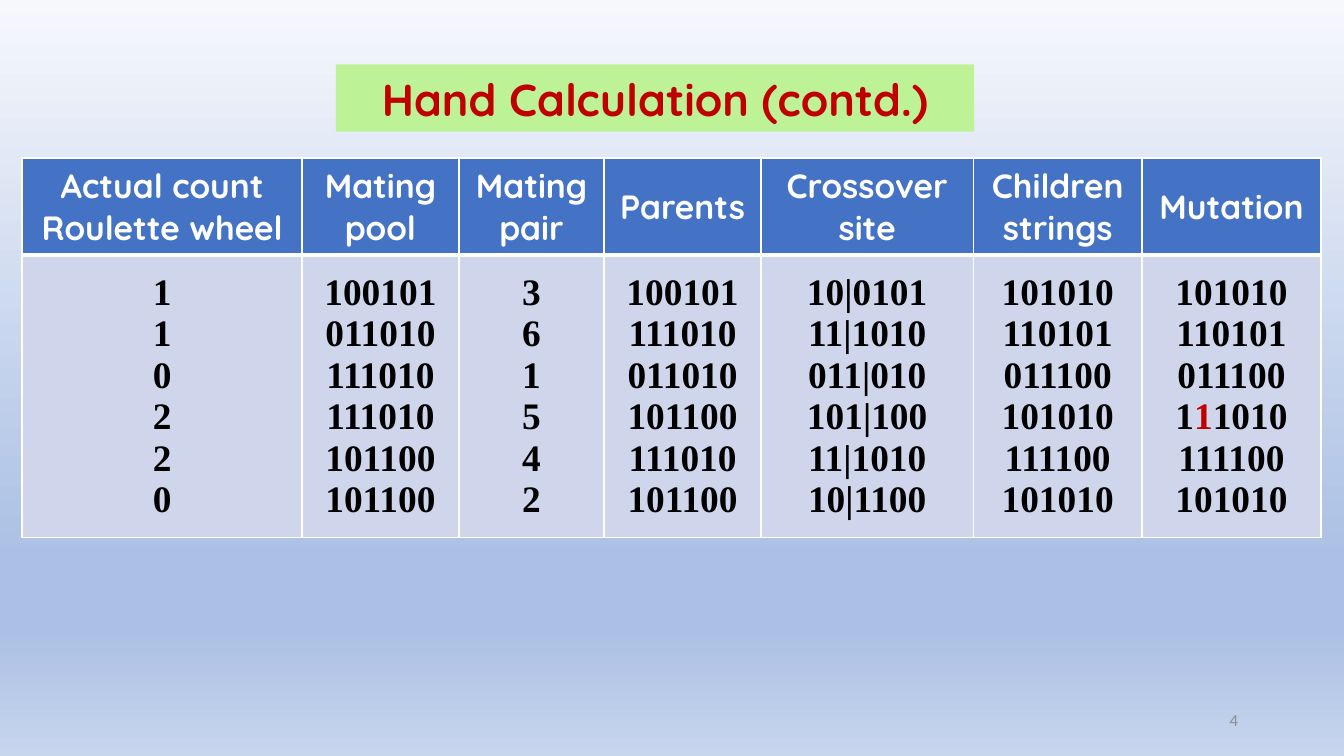
"""Build the slide with the hand calculation table of a genetic algorithm."""
from dataclasses import dataclass

from lxml.etree import SubElement
from pptx import Presentation
from pptx.dml.color import RGBColor
from pptx.enum.shapes import MSO_SHAPE
from pptx.enum.text import MSO_ANCHOR, PP_ALIGN
from pptx.oxml import parse_xml
from pptx.oxml.ns import nsdecls, qn
from pptx.util import Cm, Pt


@dataclass(frozen=True)
class Theme:
    red: str = "C00000"
    green: str = "BEF297"
    blue: str = "4472C4"
    pale: str = "CFD5EA"
    white: str = "FFFFFF"
    black: str = "000000"
    gray: str = "8C8C8C"
    sky: tuple = ((0, "F6F8FC"), (74, "ABC0E4"), (83, "ABC0E4"), (100, "C7D5ED"))
    title: int = 24
    head: int = 18
    body: int = 20
    foot: int = 9
    sans: str = "Quicksand"
    serif: str = "Times New Roman"
    plain: str = "Calibri"


theme = Theme()


def write(frame, text, size, font, color, bold=True, align=PP_ALIGN.CENTER):
    """Write one paragraph per line, with text between asterisks in red."""
    frame.word_wrap = True
    for row, line in enumerate(text.split("\n")):
        para = frame.add_paragraph() if row else frame.paragraphs[0]
        para.alignment = align
        for part, piece in enumerate(line.split("*")):
            run = para.add_run()
            run.text = piece
            run.font.size = Pt(size)
            run.font.name = font
            run.font.bold = bold
            run.font.color.rgb = RGBColor.from_string(theme.red if part % 2 else color)


def paint(cell, color, edges):
    """Fill a cell and draw its white borders, given widths by side."""
    cell.fill.solid()
    cell.fill.fore_color.rgb = RGBColor.from_string(color)
    props = cell._tc.get_or_add_tcPr()
    for spot, side in enumerate("LRTB"):
        props.insert(spot, parse_xml(
            f'<a:ln{side} {nsdecls("a")} w="{Pt(edges[side])}"><a:solidFill>'
            f'<a:srgbClr val="{theme.white}"/></a:solidFill></a:ln{side}>'))


deck = Presentation()
deck.slide_width, deck.slide_height = Cm(25.4), Cm(14.29)
slide = deck.slides.add_slide(deck.slide_layouts[6])

back = slide.background.fill
back.gradient()
back.gradient_angle = 270
stops = slide.element.find(f".//{qn('a:gsLst')}")
for stop in list(stops):
    stops.remove(stop)
for place, color in theme.sky:
    stop = SubElement(stops, qn("a:gs"), pos=str(place * 1000))
    SubElement(stop, qn("a:srgbClr"), val=color)

page = slide.shapes.add_textbox(Cm(17.93), Cm(13.23), Cm(5.72), Cm(0.76)).text_frame
page.vertical_anchor = MSO_ANCHOR.MIDDLE
write(page, "4", theme.foot, theme.plain, theme.gray, bold=False, align=PP_ALIGN.RIGHT)

cols = [
    (5.29, "Actual count Roulette wheel", "1 1 0 2 2 0"),
    (2.96, "Mating pool", "100101 011010 111010 111010 101100 101100"),
    (2.75, "Mating pair", "3 6 1 5 4 2"),
    (2.96, "Parents", "100101 111010 011010 101100 111010 101100"),
    (4.02, "Crossover site", "10|0101 11|1010 011|010 101|100 11|1010 10|1100"),
    (3.18, "Children strings", "101010 110101 011100 101010 111100 101010"),
    (3.39, "Mutation", "101010 110101 011100 1*1*1010 111100 101010"),
]
total = sum(col[0] for col in cols)
table = slide.shapes.add_table(2, len(cols), Cm(0.42), Cm(2.99), Cm(total), Cm(6.78)).table
table.rows[0].height, table.rows[1].height = Cm(1.83), Cm(4.95)
for spot, (width, head, codes) in enumerate(cols):
    table.columns[spot].width = Cm(width)
    top, body = table.cell(0, spot), table.cell(1, spot)
    top.vertical_anchor = body.vertical_anchor = MSO_ANCHOR.MIDDLE
    paint(top, theme.blue, dict(L=1, R=1, T=1, B=3))
    paint(body, theme.pale, dict(L=1, R=1, T=3, B=1))
    write(top.text_frame, head, theme.head, theme.sans, theme.white)
    write(body.text_frame, codes.replace(" ", "\n"), theme.body, theme.serif, theme.black)

title = slide.shapes.add_shape(MSO_SHAPE.RECTANGLE, Cm(6.35), Cm(1.22), Cm(12.06), Cm(1.27))
title.shadow.inherit = False
title.fill.solid()
title.fill.fore_color.rgb = RGBColor.from_string(theme.green)
title.line.fill.background()
title.text_frame.vertical_anchor = MSO_ANCHOR.MIDDLE
write(title.text_frame, "Hand Calculation (contd.)", theme.title, theme.sans, theme.red)

deck.save("out.pptx")
